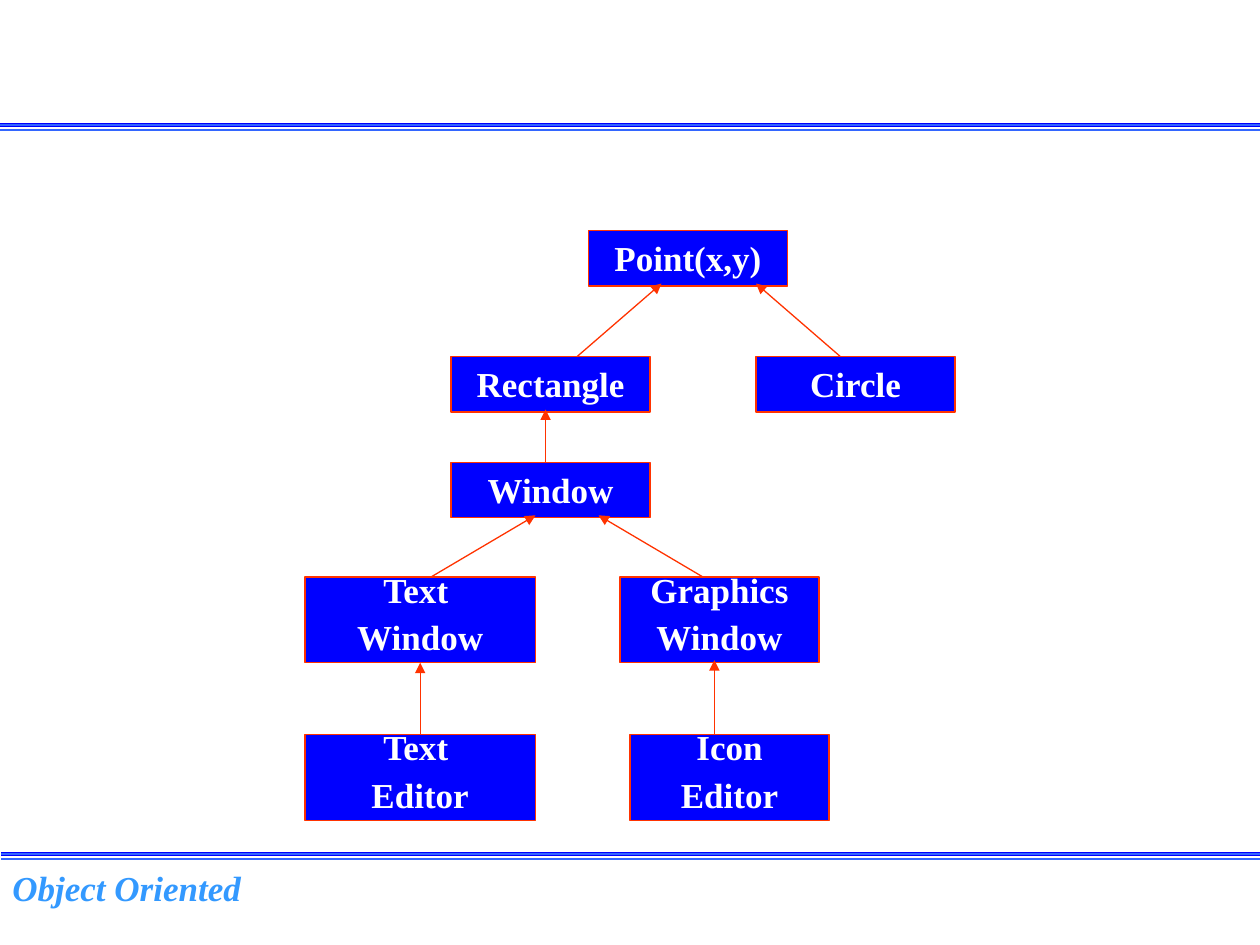
from pptx import Presentation, util as u
from pptx.dml.color import RGBColor
from pptx.enum import shapes, text
from pptx.oxml.ns import qn
from lxml import etree

THEME = dict(font="Times New Roman", size=20, rule="0000FF", rule_light="3366FF",
             footer="3399FF", box="0000FF", edge="FF3300", label="FFFFFF",
             edge_width=0.75)

FOOTER = "Object Oriented"
ROW_TOPS = [1.83, 2.83, 3.67, 4.58, 5.83]
HEIGHTS = {1: 0.44, 2: 0.68}  # by number of text lines
OVERLAP = 0.02  # how far an arrowhead reaches into the parent box

# name: (row, left, width, lines)
CLASSES = {
    "point": (0, 4.67, 1.58, ["Point(x,y)"]),
    "rectangle": (1, 3.58, 1.58, ["Rectangle"]),
    "circle": (1, 6.0, 1.58, ["Circle"]),
    "window": (2, 3.58, 1.58, ["Window"]),
    "text window": (3, 2.42, 1.83, ["Text ", "Window"]),
    "graphics window": (3, 4.92, 1.58, ["Graphics", "Window"]),
    "text editor": (4, 2.42, 1.83, ["Text ", "Editor"]),
    "icon editor": (4, 5.0, 1.58, ["Icon", "Editor"]),
}

# child, parent, x at child, x at parent; no x means middle to middle
INHERITS = [
    ("rectangle", "point", 4.58, 5.25),
    ("circle", "point", 6.67, 6.0),
    ("window", "rectangle", 4.33, 4.33),
    ("text window", "window", 3.42, 4.25),
    ("graphics window", "window", 5.58, 4.75),
    ("text editor", "text window", None, None),
    ("icon editor", "graphics window", 5.67, 5.67),
]

# left, top of the bands across the slide
BANDS = [(0, 0.99), (0.01, 6.78)]
# offset, colour, width of the lines in a band
STRIPES = [(0, "rule", 2.5), (0.04, "rule_light", 1.25), (0, "rule_light", 1.25)]


def color(name):
    return RGBColor.from_string(THEME[name])


def add_line(s, x1, y1, x2, y2, *, stroke, width, arrow=False):
    cx = s.shapes.add_connector(shapes.MSO_CONNECTOR.STRAIGHT,
                                *map(u.Inches, (x1, y1, x2, y2)))
    cx.line.color.rgb = color(stroke)
    cx.line.width = u.Pt(width)
    if arrow:
        etree.SubElement(cx.line._get_or_add_ln(), qn("a:tailEnd"), type="triangle")
    etree.SubElement(cx._element.spPr, qn("a:effectLst"))
    return cx


def write(sp, lines, *, fill, italic=False, align=text.PP_ALIGN.LEFT):
    tf = sp.text_frame
    tf.word_wrap = True
    tf.vertical_anchor = text.MSO_ANCHOR.TOP
    for i, line in enumerate(lines):
        p = tf.paragraphs[0] if i == 0 else tf.add_paragraph()
        p.alignment = align
        if len(lines) > 1:
            p.line_spacing = 0.6
        if i:
            p.space_before = u.Pt(12.5)
        r = p.add_run()
        r.text = line
        f = r.font
        f.name, f.size = THEME["font"], u.Pt(THEME["size"])
        f.bold, f.italic = True, italic
        f.color.rgb = color(fill)


def add_class(s, row, left, width, lines):
    sp = s.shapes.add_shape(shapes.MSO_SHAPE.RECTANGLE, *map(
        u.Inches, (left, ROW_TOPS[row], width, HEIGHTS[len(lines)])))
    sp.shadow.inherit = False
    sp.fill.solid()
    sp.fill.fore_color.rgb = color("box")
    sp.line.color.rgb = color("edge")
    sp.line.width = u.Pt(THEME["edge_width"])
    write(sp, lines, fill="label", align=text.PP_ALIGN.CENTER)
    return sp


def add_inheritance(s, boxes, child, parent, x1, x2):
    row, _, _, lines = CLASSES[parent]
    y1 = ROW_TOPS[CLASSES[child][0]]
    y2 = ROW_TOPS[row] + HEIGHTS[len(lines)] - OVERLAP
    cx = add_line(s, x1 or 0, y1, x2 or 0, y2, stroke="edge",
                  width=THEME["edge_width"], arrow=True)
    if x1 is None:
        cx.begin_connect(boxes[child], 0)
        cx.end_connect(boxes[parent], 2)


def main():
    prs = Presentation()
    prs.slide_width, prs.slide_height = u.Inches(10), u.Inches(7.5)
    s = prs.slides.add_slide(prs.slide_layouts[6])

    for left, top in BANDS:
        for offset, stroke, width in STRIPES:
            add_line(s, left, top + offset, left + 10, top + offset,
                     stroke=stroke, width=width)

    footer = s.shapes.add_textbox(*map(u.Inches, (0, 6.83, 3.27, 0.52)))
    write(footer, [FOOTER], fill="footer", italic=True)

    boxes = {name: add_class(s, *spec) for name, spec in CLASSES.items()}
    for link in INHERITS:
        add_inheritance(s, boxes, *link)

    prs.save("out.pptx")


if __name__ == "__main__":
    main()
